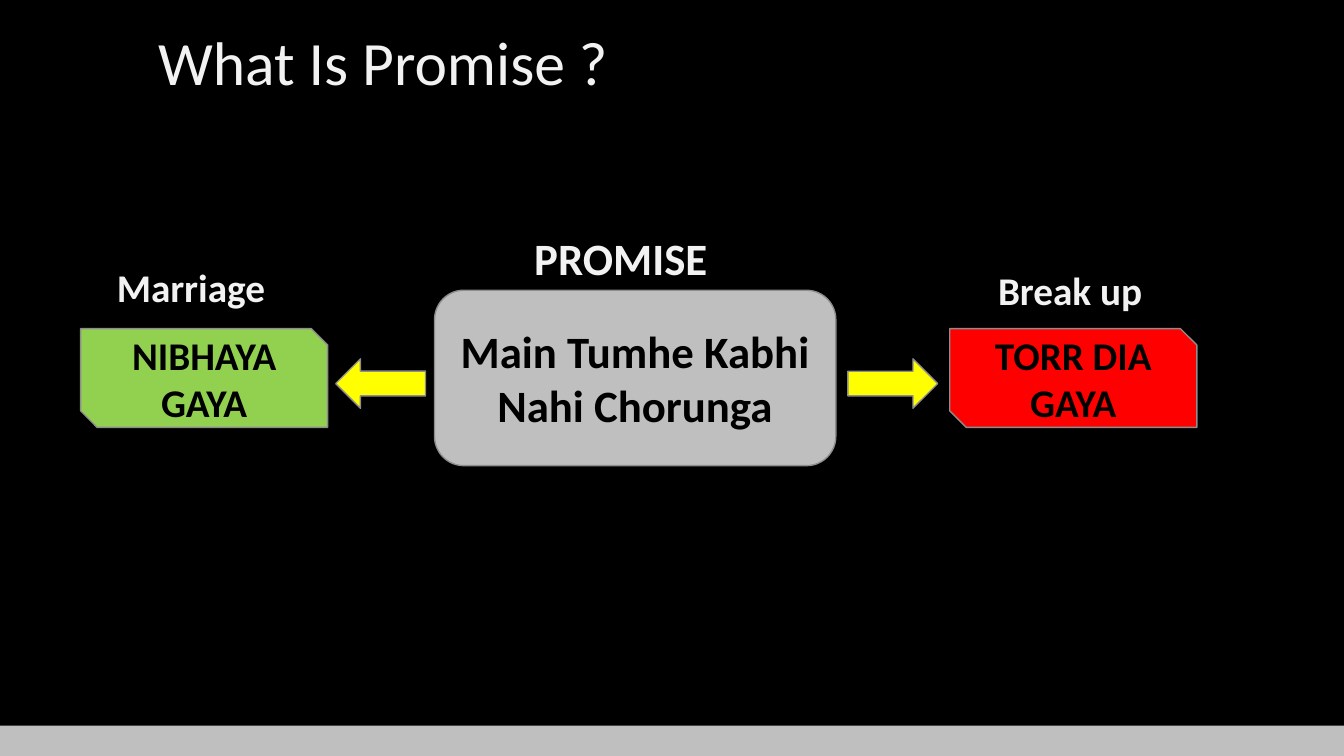
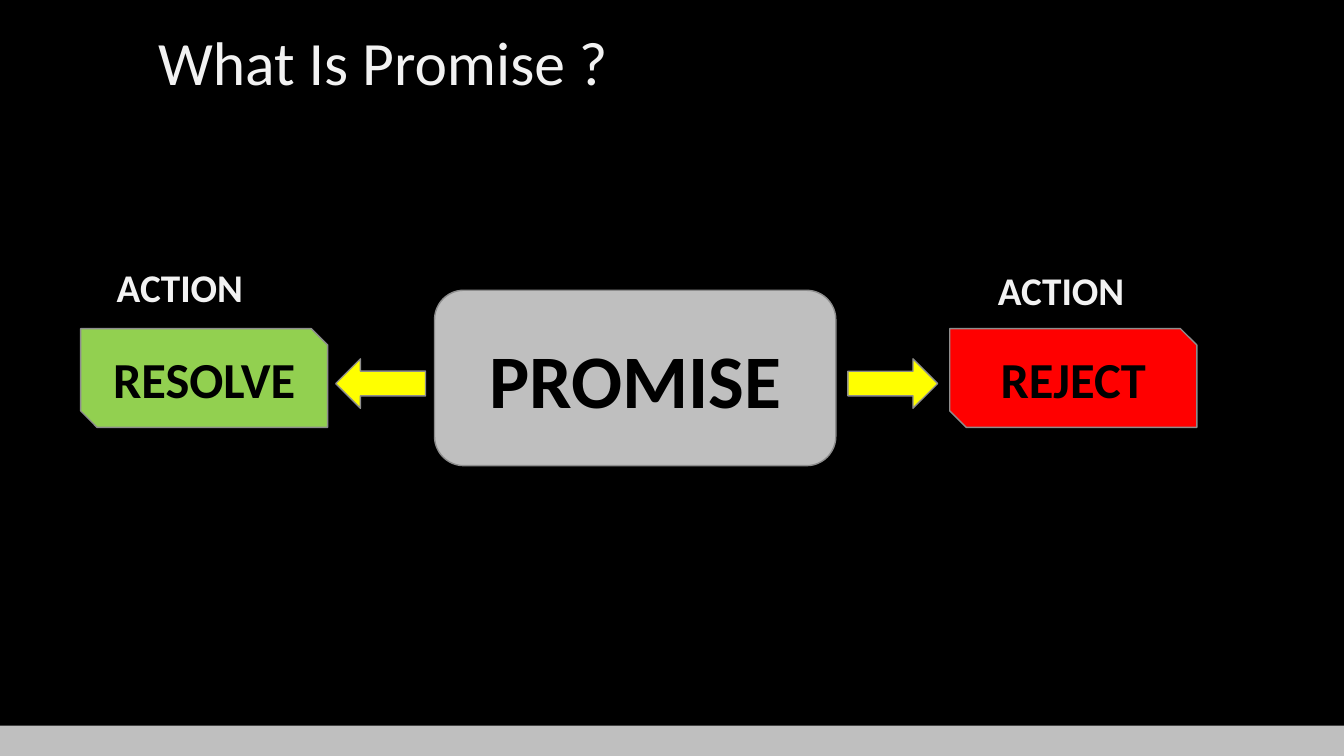
from dataclasses import dataclass

from pptx import Presentation
from pptx.dml.color import RGBColor
from pptx.enum import shapes, text
from pptx.shapes.autoshape import Shape
from pptx.slide import Slide
from pptx.util import Inches, Pt

# Shared style
BLACK = RGBColor(0x00, 0x00, 0x00)
OFF_WHITE = RGBColor(0xF2, 0xF2, 0xF2)
SILVER = RGBColor(0xBF, 0xBF, 0xBF)
OUTLINE = RGBColor(0x8D, 0x8D, 0x8D)
GREEN = RGBColor(0x92, 0xD0, 0x50)
RED = RGBColor(0xFF, 0x00, 0x00)
YELLOW = RGBColor(0xFF, 0xFF, 0x00)
FONT = "Calibri"
TITLE = "What Is Promise ?"
SLIDE_W, SLIDE_H, BAND_H = 13.33, 7.5, 0.3
PRESET = shapes.MSO_SHAPE


@dataclass(frozen=True)
class Box:
    left: float
    top: float
    width: float
    height: float

    def inches(self) -> tuple[Inches, Inches, Inches, Inches]:
        return Inches(self.left), Inches(self.top), Inches(self.width), Inches(self.height)


@dataclass(frozen=True)
class Label:
    words: str
    box: Box
    size: int = 28


@dataclass(frozen=True)
class Diagram:
    promise: str
    promise_size: int
    kept: str
    broken: str
    outcome_size: int
    labels: tuple[Label, ...]


# Places used on both slides
TITLE_BOX = Box(1.47, -0.32, 10.4, 1.35)
BAND_BOX = Box(0, SLIDE_H - BAND_H, SLIDE_W, BAND_H)
PROMISE_BOX = Box(4.31, 2.88, 3.98, 1.74)
KEPT_BOX = Box(0.8, 3.26, 2.45, 0.98)
BROKEN_BOX = Box(9.42, 3.26, 2.45, 0.98)
ARROWS = ((Box(3.33, 3.56, 0.89, 0.49), 0), (Box(8.41, 3.56, 0.89, 0.49), 180))

DIAGRAMS = (
    Diagram("Main Tumhe Kabhi Nahi Chorunga", 32, "NIBHAYA GAYA", "TORR DIA GAYA", 28, (
        Label("PROMISE", Box(5.2, 2.24, 1.93, 0.64), 32),
        Label("Marriage", Box(1.06, 2.56, 1.69, 0.57)),
        Label("Break up", Box(9.8, 2.59, 1.65, 0.57)),
    )),
    Diagram("PROMISE", 54, "RESOLVE", "REJECT", 36, (
        Label("ACTION", Box(1.06, 2.56, 1.47, 0.57)),
        Label("ACTION", Box(9.8, 2.59, 1.47, 0.57)),
    )),
)


def write(sp: Shape, words: str, size: int, color: RGBColor,
          bold: bool = True, centered: bool = False) -> None:
    p = sp.text_frame.paragraphs[0]
    p.text = words
    p.alignment = text.PP_ALIGN.CENTER if centered else text.PP_ALIGN.LEFT
    p.font.name, p.font.size, p.font.bold = FONT, Pt(size), bold
    p.font.color.rgb = color


def add_shape(s: Slide, preset: PRESET, box: Box, fill: RGBColor, outlined: bool = True) -> Shape:
    sp = s.shapes.add_shape(preset, *box.inches())
    sp.shadow.inherit = False
    sp.fill.solid()
    sp.fill.fore_color.rgb = fill
    if outlined:
        sp.line.color.rgb = OUTLINE
        sp.line.width = Pt(1)
    else:
        sp.line.fill.background()
    return sp


def add_node(s: Slide, preset: PRESET, box: Box, fill: RGBColor, words: str, size: int) -> None:
    sp = add_shape(s, preset, box, fill)
    sp.text_frame.vertical_anchor = text.MSO_ANCHOR.MIDDLE
    write(sp, words, size, BLACK, centered=True)


def add_label(s: Slide, label: Label) -> None:
    sp = s.shapes.add_textbox(*label.box.inches())
    sp.text_frame.word_wrap = False
    sp.text_frame.auto_size = text.MSO_AUTO_SIZE.SHAPE_TO_FIT_TEXT
    write(sp, label.words, label.size, OFF_WHITE)


def add_frame(s: Slide) -> None:
    """Footer band and title."""
    add_shape(s, PRESET.RECTANGLE, BAND_BOX, SILVER, outlined=False)
    sp = s.shapes.add_textbox(*TITLE_BOX.inches())
    tf = sp.text_frame
    tf.word_wrap = True
    tf.vertical_anchor = text.MSO_ANCHOR.BOTTOM
    write(sp, TITLE, 44, OFF_WHITE, bold=False)
    tf.paragraphs[0].line_spacing = 0.9


def add_diagram(s: Slide, d: Diagram) -> None:
    # Promise in the middle, one outcome on each side
    add_node(s, PRESET.ROUNDED_RECTANGLE, PROMISE_BOX, SILVER, d.promise, d.promise_size)
    for box, fill, words in ((KEPT_BOX, GREEN, d.kept), (BROKEN_BOX, RED, d.broken)):
        add_node(s, PRESET.SNIP_2_DIAG_RECTANGLE, box, fill, words, d.outcome_size)
    for label in d.labels:
        add_label(s, label)
    # Arrows to the outcomes
    for box, angle in ARROWS:
        add_shape(s, PRESET.LEFT_ARROW, box, YELLOW).rotation = angle


def main() -> None:
    prs = Presentation()
    prs.slide_width, prs.slide_height = Inches(SLIDE_W), Inches(SLIDE_H)
    background = prs.slide_master.background.fill
    background.solid()
    background.fore_color.rgb = BLACK
    for diagram in DIAGRAMS:
        s = prs.slides.add_slide(prs.slide_layouts[6])
        add_frame(s)
        add_diagram(s, diagram)
    prs.save("out.pptx")


if __name__ == "__main__":
    main()
